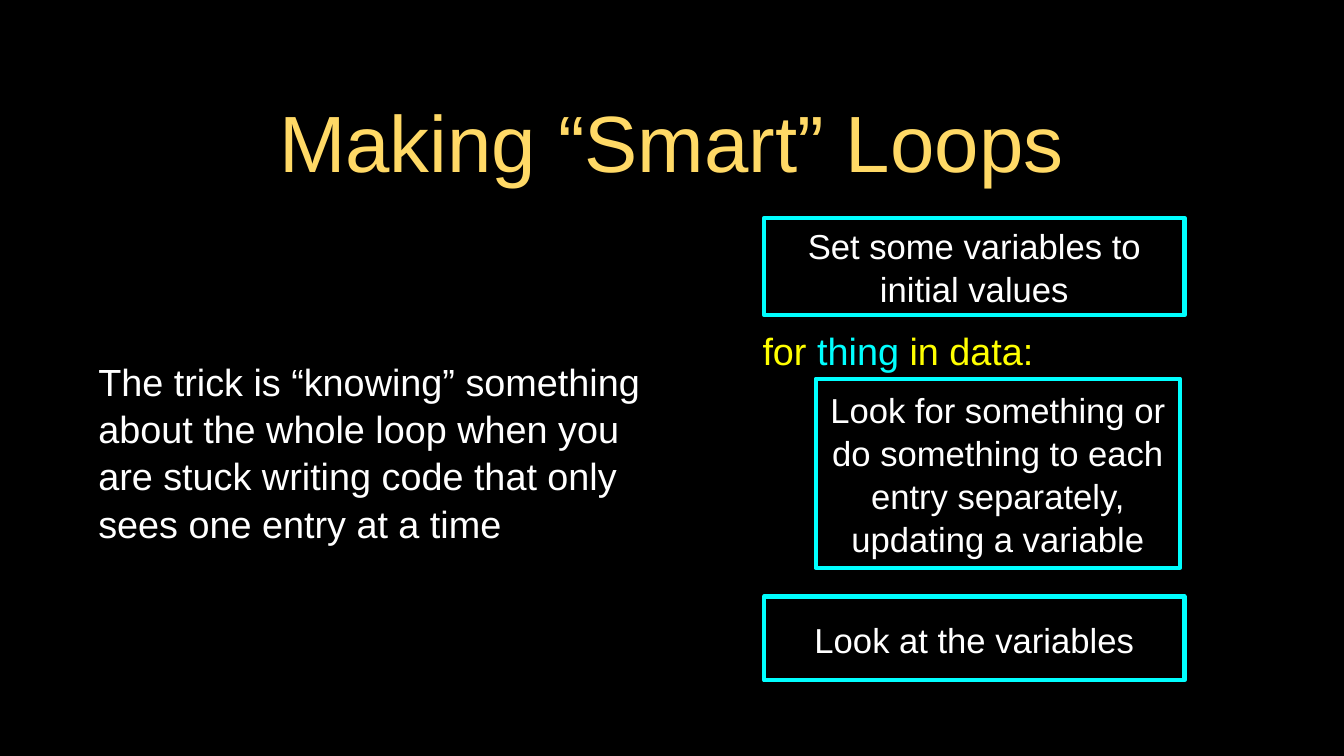
from pptx import Presentation
from pptx.dml.color import RGBColor
from pptx.enum.shapes import MSO_SHAPE
from pptx.enum.text import MSO_ANCHOR, PP_ALIGN
from pptx.util import Inches, Pt

BLACK = RGBColor(0x00, 0x00, 0x00)
WHITE = RGBColor(0xFF, 0xFF, 0xFF)
GOLD = RGBColor(0xFF, 0xD9, 0x66)
CYAN = RGBColor(0x00, 0xFF, 0xFF)
YELLOW = RGBColor(0xFF, 0xFF, 0x00)


def write_text(shape, spans, size, alignment, margin):
    frame = shape.text_frame
    frame.word_wrap = True
    frame.vertical_anchor = MSO_ANCHOR.MIDDLE
    frame.margin_left = frame.margin_right = Inches(margin)
    frame.margin_top = frame.margin_bottom = Inches(margin)
    para = frame.paragraphs[0]
    para.alignment = alignment
    para.line_spacing = 1.04
    for text, color in spans:
        span = para.add_run()
        span.text = text
        span.font.name = "Arial"
        span.font.size = Pt(size)
        span.font.color.rgb = color


deck = Presentation()
deck.slide_width = Inches(17.78)
deck.slide_height = Inches(10)
page = deck.slides.add_slide(deck.slide_layouts[5])
page.background.fill.solid()
page.background.fill.fore_color.rgb = BLACK

title = page.shapes.title
title.left, title.top = Inches(1.26), Inches(0.89)
title.width, title.height = Inches(15.24), Inches(1.88)
write_text(title, [("Making “Smart” Loops", GOLD)], 76, PP_ALIGN.CENTER, 0.04)

trick = page.shapes.add_textbox(Inches(1.26), Inches(2.85), Inches(7.49), Inches(6.24))
trick_text = (
    "The trick is “knowing” something about the whole loop when you are "
    "stuck writing code that only sees one entry at a time"
)
write_text(trick, [(trick_text, WHITE)], 36, PP_ALIGN.LEFT, 0.04)

steps = [
    (10.11, 2.88, 5.56, 1.29, "Set some variables to initial values"),
    (10.79, 5.01, 4.82, 2.5,
     "Look for something or do something to each entry separately, updating a variable"),
    (10.11, 7.89, 5.56, 1.11, "Look at the variables"),
]
for left, top, width, height, text in steps:
    box = page.shapes.add_shape(
        MSO_SHAPE.RECTANGLE, Inches(left), Inches(top), Inches(width), Inches(height)
    )
    box.shadow.inherit = False
    box.fill.background()
    box.line.color.rgb = CYAN
    box.line.width = Pt(4)
    write_text(box, [(text, WHITE)], 33, PP_ALIGN.CENTER, 0)

loop_line = page.shapes.add_textbox(Inches(10.02), Inches(4.28), Inches(3.72), Inches(0.68))
loop_spans = [("for ", YELLOW), ("thing", CYAN), (" in data:", YELLOW)]
write_text(loop_line, loop_spans, 36, PP_ALIGN.CENTER, 0)

deck.save("out.pptx")
